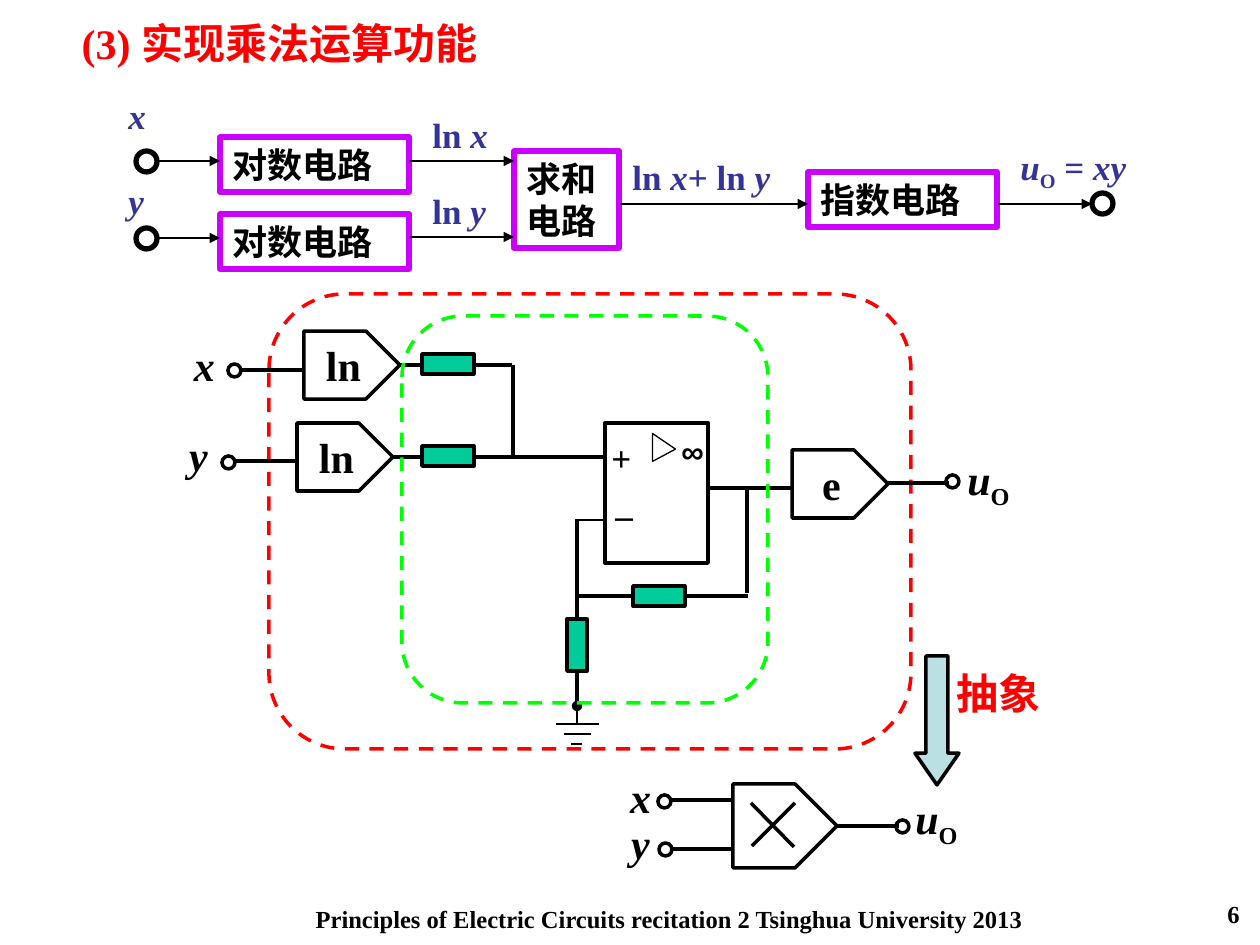
from typing import NamedTuple

from lxml.etree import SubElement
from pptx import Presentation
from pptx.dml.color import RGBColor
from pptx.enum.dml import MSO_LINE
from pptx.enum.shapes import MSO_CONNECTOR, MSO_SHAPE
from pptx.enum.text import MSO_ANCHOR, MSO_AUTO_SIZE, PP_ALIGN
from pptx.oxml import parse_xml
from pptx.oxml.ns import nsdecls, qn
from pptx.util import Emu, Pt

EMU_PER_PX = 914400 / 126
COLORS = {
    "ink": "000000", "paper": "FFFFFF", "red": "FF0000", "green": "00FF00",
    "resistor": "00CC99", "block": "CC00FF", "signal": "333399",
    "arrow": "BBE0E3", "shadow": "808080",
}


class Run(NamedTuple):
    text: str
    italic: bool = False
    subscript: bool = False


class Label(NamedTuple):
    box: tuple[int, int, int, int]
    runs: list[Run]
    size: int = 24
    color: str = "ink"
    align: PP_ALIGN = PP_ALIGN.CENTER
    font: str = "Times New Roman"


class Wire(NamedTuple):
    start: tuple[int, int]
    end: tuple[int, int]
    width: float = 2
    head: str = ""
    tail: str = ""


class Outline(NamedTuple):
    kind: MSO_SHAPE
    box: tuple[int, int, int, int]
    width: float = 2
    line: str = "ink"
    fill: str = ""
    dashed: bool = False
    rotation: int = 0
    adjust: tuple[float, ...] = ()


X, Y = Run("x", True), Run("y", True)
U_O = [Run("u", True), Run("O", subscript=True)]


def px(length: int) -> Emu:
    return Emu(round(length * EMU_PER_PX))


def rgb(name: str) -> RGBColor:
    return RGBColor.from_string(COLORS[name])


def write(frame, label: Label) -> None:
    frame.vertical_anchor = MSO_ANCHOR.TOP
    paragraph = frame.paragraphs[0]
    paragraph.alignment = label.align
    for part in label.runs:
        run = paragraph.add_run()
        run.text = part.text
        style = {"name": label.font, "size": Pt(label.size), "bold": True, "italic": part.italic}
        for attribute, value in style.items():
            setattr(run.font, attribute, value)
        run.font.color.rgb = rgb(label.color)
        if part.subscript:
            run.font._element.set("baseline", "-25000")


def draw_label(slide, label: Label) -> None:
    frame = slide.shapes.add_textbox(*map(px, label.box)).text_frame
    frame.word_wrap = True
    write(frame, label)


def draw_outline(slide, outline: Outline):
    shape = slide.shapes.add_shape(outline.kind, *map(px, outline.box))
    shape.shadow.inherit = False
    shape.rotation = outline.rotation
    for index, value in enumerate(outline.adjust):
        shape.adjustments[index] = value
    if outline.fill:
        shape.fill.solid()
        shape.fill.fore_color.rgb = rgb(outline.fill)
    else:
        shape.fill.background()
    shape.line.color.rgb = rgb(outline.line)
    shape.line.width = Pt(outline.width)
    if outline.dashed:
        shape.line.dash_style = MSO_LINE.DASH
    return shape


def draw_wire(slide, wire: Wire) -> None:
    connector = slide.shapes.add_connector(
        MSO_CONNECTOR.STRAIGHT, *map(px, wire.start + wire.end))
    connector.line.color.rgb = rgb("ink")
    connector.line.width = Pt(wire.width)
    line = connector.line._get_or_add_ln()
    for tag, ending in (("a:headEnd", wire.head), ("a:tailEnd", wire.tail)):
        if ending:
            SubElement(line, qn(tag), type=ending)
    SubElement(connector._element.spPr, qn("a:effectLst"))


def draw_terminal(slide, left: int, top: int, size: int = 13, width: float = 2) -> None:
    draw_outline(slide, Outline(MSO_SHAPE.OVAL, (left, top, size, size), width))


def draw_gate(slide, left: int, top: int, width: int, height: int, name: str = "") -> None:
    gate = draw_outline(slide, Outline(MSO_SHAPE.PENTAGON, (left, top, width, height)))
    if name:
        write(gate.text_frame, Label((left, top, width, height), [Run(name)]))
        gate.text_frame.vertical_anchor = MSO_ANCHOR.MIDDLE
        gate.text_frame.word_wrap = False


def draw_title(slide) -> None:
    title = slide.shapes.title
    box = (69, 11, 431, 63)
    for attribute, length in zip(("left", "top", "width", "height"), box):
        setattr(title, attribute, px(length))
    frame = title.text_frame
    frame.word_wrap = False
    frame.auto_size = MSO_AUTO_SIZE.NONE
    write(frame, Label(box, [Run("(3) 实现乘法运算功能")], 24, "red", PP_ALIGN.LEFT))
    properties = frame.paragraphs[0].runs[0].font._element
    properties.find(qn("a:solidFill")).addnext(parse_xml(
        f'<a:effectLst {nsdecls("a")}><a:outerShdw dist="25400" dir="2700000">'
        f'<a:srgbClr val="{COLORS["shadow"]}"/></a:outerShdw></a:effectLst>'))


def draw_block_diagram(slide) -> None:
    blocks = [("对数电路", (220, 137, 189, 55)), ("对数电路", (220, 214, 189, 55)),
              ("求和电路", (514, 151, 105, 97)), ("指数电路", (808, 172, 189, 55))]
    for name, box in blocks:
        block = draw_outline(slide, Outline(MSO_SHAPE.RECTANGLE, box, 3, "block"))
        write(block.text_frame, Label(box, [Run(name)], 20, align=PP_ALIGN.LEFT))
    for left, top in ((136, 151), (136, 228), (1092, 193)):
        draw_terminal(slide, left, top, 21, 3)
    for start, end, y in ((158, 220, 161), (158, 220, 238), (409, 514, 161),
                          (409, 514, 237), (620, 808, 204), (998, 1092, 204)):
        draw_wire(slide, Wire((start, y), (end, y), 0.75, tail="triangle"))
    signals = [((116, 88, 73, 55), [X]), ((116, 173, 73, 55), [Y]),
               ((420, 107, 105, 55), [Run("ln "), X]),
               ((420, 183, 105, 55), [Run("ln "), Y]),
               ((620, 149, 210, 55), [Run("ln "), X, Run("+ ln "), Y]),
               ((1008, 139, 199, 60), [*U_O, Run(" ="), Run(" xy", True)])]
    for box, runs in signals:
        draw_label(slide, Label(box, runs, 20, "signal", PP_ALIGN.LEFT))


def draw_circuit(slide) -> None:
    draw_outline(slide, Outline(MSO_SHAPE.ROUNDED_RECTANGLE, (269, 294, 642, 455),
                                line="red", dashed=True))
    for left, top, name in ((304, 331, "ln"), (297, 423, "ln"), (792, 450, "e")):
        draw_gate(slide, left, top, 96, 68, name)
    wires = [
        Wire((241, 370), (303, 370)), Wire((398, 365), (512, 365)),
        Wire((234, 461), (296, 461)), Wire((392, 457), (607, 457)),
        Wire((513, 365), (513, 457)), Wire((706, 488), (791, 488)),
        Wire((887, 483), (949, 483)), Wire((604, 520), (578, 520), 1.5),
        Wire((577, 519), (577, 704)), Wire((576, 596), (748, 596)),
        Wire((747, 488), (747, 593)), Wire((577, 706), (577, 724), 1.5, head="oval"),
        Wire((556, 724), (599, 724), 1.5), Wire((564, 734), (591, 734), 1.5),
        Wire((571, 744), (582, 744), 1.5),
    ]
    for wire in wires:
        draw_wire(slide, wire)
    for left, top, rotation in ((422, 354, 0), (422, 446, 0), (633, 586, 0), (551, 635, 270)):
        draw_outline(slide, Outline(MSO_SHAPE.RECTANGLE, (left, top, 52, 20),
                                    fill="resistor", rotation=rotation))
    draw_outline(slide, Outline(MSO_SHAPE.RECTANGLE, (605, 423, 103, 140), 2.25, fill="paper"))
    draw_outline(slide, Outline(MSO_SHAPE.ISOSCELES_TRIANGLE, (650, 436, 28, 23), 0.75,
                                fill="paper", rotation=90, adjust=(0.56,)))
    for box, sign, size, font in (((603, 475, 37, 55), "_", 20, "Times New Roman"),
                                  ((599, 430, 38, 55), "+", 20, "Times New Roman"),
                                  ((669, 426, 44, 45), "∞", 18, "Arial")):
        draw_label(slide, Label(box, [Run(sign)], size, align=PP_ALIGN.LEFT, font=font))
    for left, top in ((228, 364), (222, 456), (946, 475)):
        draw_terminal(slide, left, top)
    for box, runs in (((166, 333, 77, 63), [X]), ((160, 423, 77, 63), [Y]),
                      ((950, 447, 77, 71), U_O)):
        draw_label(slide, Label(box, runs))
    draw_outline(slide, Outline(MSO_SHAPE.ROUNDED_RECTANGLE, (402, 316, 366, 387),
                                line="green", dashed=True))


def draw_multiplier(slide) -> None:
    draw_outline(slide, Outline(MSO_SHAPE.DOWN_ARROW, (915, 656, 44, 129),
                                fill="arrow", adjust=(0.5, 0.72)))
    draw_label(slide, Label((931, 661, 135, 63), [Run("抽象")], color="red"))
    draw_gate(slide, 733, 784, 104, 84)
    for start, end in (((670, 800), (733, 800)), ((670, 849), (733, 849)),
                       ((837, 826), (899, 826)), ((751, 803), (794, 847)),
                       ((752, 846), (795, 803))):
        draw_wire(slide, Wire(start, end))
    for left, top in ((658, 795), (659, 843), (896, 820)):
        draw_terminal(slide, left, top)
    for box, runs in (((602, 765, 77, 63), [X]), ((602, 811, 77, 63), [Y]),
                      ((898, 786, 77, 71), U_O)):
        draw_label(slide, Label(box, runs))


def main() -> None:
    presentation = Presentation()
    presentation.slide_width, presentation.slide_height = px(1260), px(945)
    slide = presentation.slides.add_slide(presentation.slide_layouts[5])
    draw_title(slide)
    draw_block_diagram(slide)
    draw_circuit(slide)
    draw_multiplier(slide)
    footer = "Principles of Electric Circuits recitation 2 Tsinghua University 2013"
    draw_label(slide, Label((223, 898, 893, 47), [Run(footer)], 14))
    draw_label(slide, Label((958, 893, 294, 66), [Run("6")], 14, align=PP_ALIGN.RIGHT))
    presentation.save("out.pptx")


if __name__ == "__main__":
    main()
